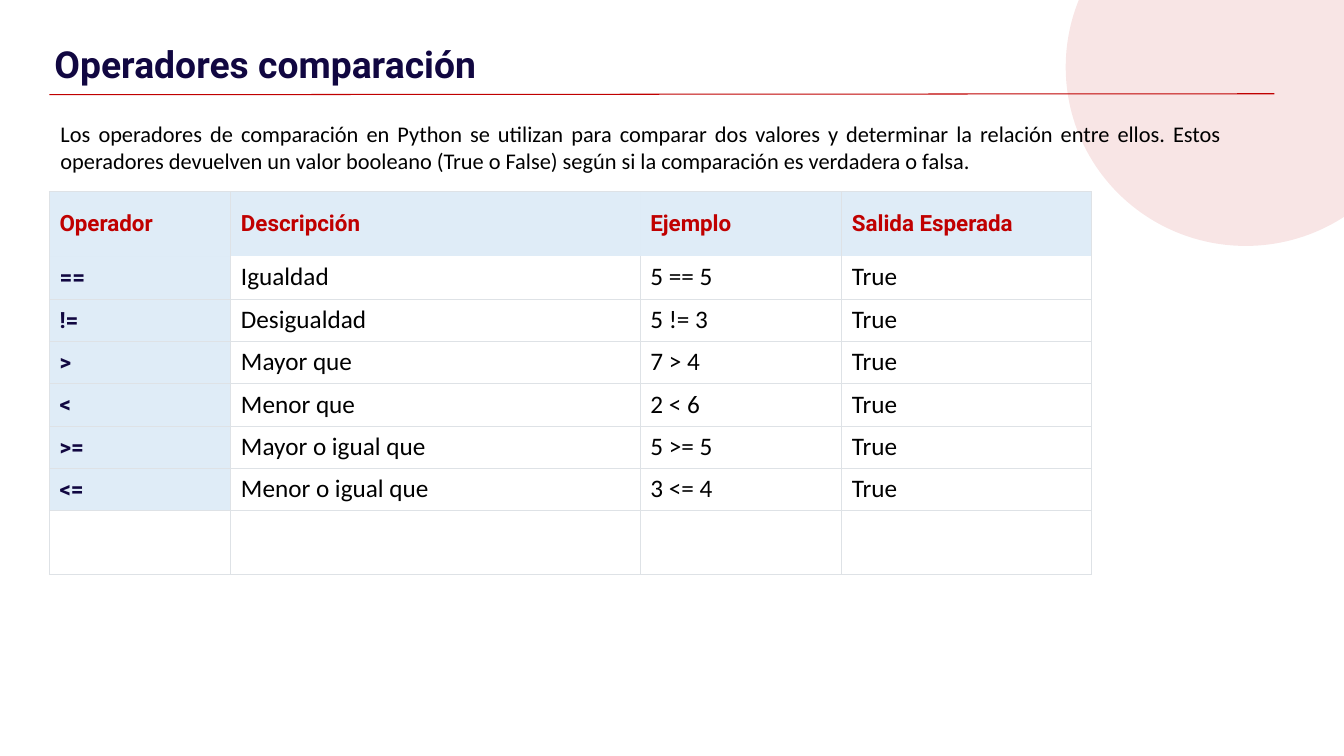
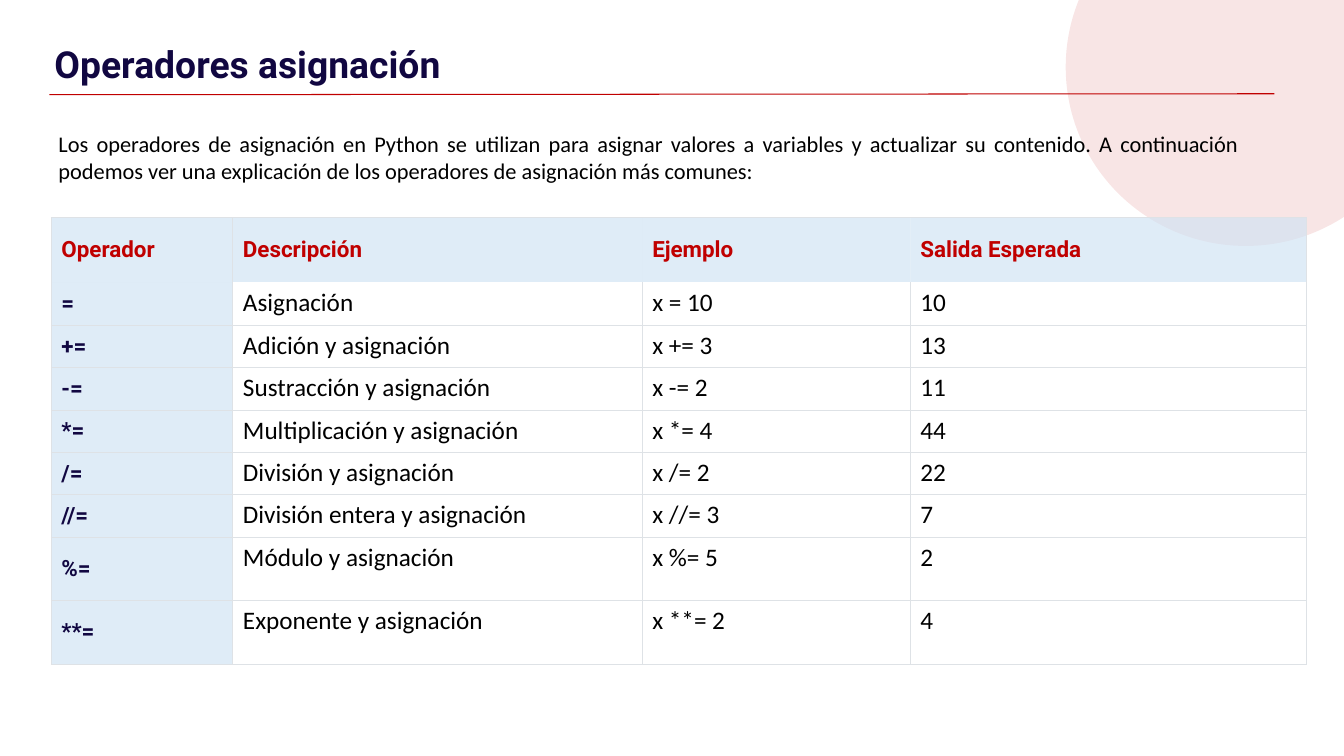
from dataclasses import dataclass

from lxml import etree
from pptx import Presentation
from pptx.dml.color import RGBColor
from pptx.enum.shapes import MSO_CONNECTOR, MSO_SHAPE
from pptx.enum.text import MSO_ANCHOR, MSO_AUTO_SIZE, PP_ALIGN
from pptx.oxml.ns import qn
from pptx.util import Inches, Pt

OVAL = MSO_SHAPE.OVAL
STRAIGHT = MSO_CONNECTOR.STRAIGHT
TOP, MIDDLE = MSO_ANCHOR.TOP, MSO_ANCHOR.MIDDLE
LEFT, JUSTIFY = PP_ALIGN.LEFT, PP_ALIGN.JUSTIFY
NO_AUTOFIT = MSO_AUTO_SIZE.NONE


@dataclass(frozen=True)
class Theme:
    red: str = "C00000"
    navy: str = "110741"
    black: str = "000000"
    white: str = "FFFFFF"
    label_fill: str = "CFE2F3"
    border: str = "DEE2E6"
    heading_font: str = "Roboto"
    body_font: str = "Calibri"
    title_size: float = 26.6
    text_size: float = 16
    cell_size: float = 18
    line_width: float = 0.75
    circle_opacity: int = 10
    label_opacity: int = 65


THEME = Theme()
HEADERS = ("Operador", "Descripción", "Ejemplo", "Salida Esperada")
ROW_HEIGHT, FIRST_ROW_HEIGHT, TALL_ROW_HEIGHT, HEADER_HEIGHT = 0.42, 0.43, 0.63, 0.64

SLIDES = [
    {
        "title": "Operadores comparación",
        "intro": "Los operadores de comparación en Python se utilizan para comparar "
                 "dos valores y determinar la relación entre ellos. Estos operadores "
                 "devuelven un valor booleano (True o False) según si la comparación "
                 "es verdadera o falsa.",
        "intro_box": (0.5, 1.14, 11.72, 0.64),
        "table_at": (0.49, 1.9),
        "columns": (1.8, 4.06, 2, 2.48),
        "header_dividers": {0, 1, 3, 4},
        "tall_rows": 1,
        "rows": [
            ("==", "Igualdad", "5 == 5", "True"),
            ("!=", "Desigualdad", "5 != 3", "True"),
            (">", "Mayor que", "7 > 4", "True"),
            ("<", "Menor que", "2 < 6", "True"),
            (">=", "Mayor o igual que", "5 >= 5", "True"),
            ("<=", "Menor o igual que", "3 <= 4", "True"),
            ("", "", "", ""),
        ],
    },
    {
        "title": "Operadores asignación",
        "intro": "Los operadores de asignación en Python se utilizan para asignar "
                 "valores a variables y actualizar su contenido. A continuación "
                 "podemos ver una explicación de los operadores de asignación más "
                 "comunes:",
        "intro_box": (0.48, 1.24, 11.91, 0.71),
        "table_at": (0.51, 2.16),
        "columns": (1.8, 4.06, 2.66, 3.93),
        "header_dividers": {0, 1, 4},
        "tall_rows": 2,
        "rows": [
            ("=", "Asignación", "x = 10", "10"),
            ("+=", "Adición y asignación", "x += 3", "13"),
            ("-=", "Sustracción y asignación", "x -= 2", "11"),
            ("*=", "Multiplicación y asignación", "x *= 4", "44"),
            ("/=", "División y asignación", "x /= 2", "22"),
            ("//=", "División entera y asignación", "x //= 3", "7"),
            ("%=", "Módulo y asignación", "x %= 5", "2"),
            ("**=", "Exponente y asignación", "x **= 2", "4"),
        ],
    },
]


def set_text(shape, text, box, font_name, size, color, bold, alignment):
    """Place a placeholder and fill it with one unbulleted paragraph."""
    shape.left, shape.top, shape.width, shape.height = map(Inches, box)
    frame = shape.text_frame
    frame.text = text
    frame.word_wrap = True
    frame.auto_size = NO_AUTOFIT
    paragraph = frame.paragraphs[0]
    properties = paragraph._p.get_or_add_pPr()
    properties.set("marL", "0")
    properties.set("indent", "0")
    etree.SubElement(properties, qn("a:buNone"))
    paragraph.space_before = Pt(0)
    paragraph.alignment = alignment
    paragraph.font.name = font_name
    paragraph.font.size = Pt(size)
    paragraph.font.bold = bold
    paragraph.font.color.rgb = RGBColor.from_string(color)


def fill_with(fill, properties, color, opacity=100):
    """Set a solid fill; properties is the XML element that holds it."""
    fill.solid()
    fill.fore_color.rgb = RGBColor.from_string(color)
    if opacity < 100:
        color_element = properties.find(qn("a:solidFill")).find(qn("a:srgbClr"))
        etree.SubElement(color_element, qn("a:alpha"), val=str(opacity * 1000))


presentation = Presentation()
presentation.slide_width = Inches(13.33)
presentation.slide_height = Inches(7.5)
layout = presentation.slide_layouts[1]

for content in SLIDES:
    slide = presentation.slides.add_slide(layout)
    title, intro = slide.shapes.title, slide.placeholders[1]

    circle = slide.shapes.add_shape(
        OVAL, Inches(10.57), Inches(-1.11), Inches(3.57), Inches(3.55))
    circle.shadow.inherit = False
    circle.line.fill.background()
    fill_with(circle.fill, circle.element.spPr, THEME.red, THEME.circle_opacity)
    title.element.addprevious(circle.element)

    rule = slide.shapes.add_connector(
        STRAIGHT, Inches(0.49), Inches(0.94), Inches(12.64), Inches(0.93))
    rule.line.color.rgb = RGBColor.from_string(THEME.red)
    rule.line.width = Pt(THEME.line_width)
    etree.SubElement(rule.element.spPr, qn("a:effectLst"))

    set_text(title, content["title"], (0.41, 0.38, 11.47, 0.5), THEME.heading_font,
             THEME.title_size, THEME.navy, True, LEFT)
    title.text_frame.margin_left = title.text_frame.margin_right = Inches(0.13)
    title.text_frame.margin_top = title.text_frame.margin_bottom = 0
    title.text_frame.vertical_anchor = MIDDLE

    set_text(intro, content["intro"], content["intro_box"], THEME.body_font,
             THEME.text_size, THEME.black, False, JUSTIFY)
    intro.text_frame.vertical_anchor = TOP

    rows = [HEADERS] + content["rows"]
    tall_rows = content["tall_rows"]
    heights = ([HEADER_HEIGHT, FIRST_ROW_HEIGHT]
               + [ROW_HEIGHT] * (len(rows) - 2 - tall_rows)
               + [TALL_ROW_HEIGHT] * tall_rows)
    left, top = content["table_at"]
    table = slide.shapes.add_table(
        len(rows), len(HEADERS), Inches(left), Inches(top),
        Inches(sum(content["columns"])), Inches(sum(heights))).table
    table.first_row = table.horz_banding = False
    for column, width in zip(table.columns, content["columns"]):
        column.width = Inches(width)
    for row, height in zip(table.rows, heights):
        row.height = Inches(height)

    for row_index, values in enumerate(rows):
        is_header = row_index == 0
        for column_index, value in enumerate(values):
            cell = table.cell(row_index, column_index)
            is_label = is_header or (column_index == 0 and value != "")
            dividers = content["header_dividers"]
            borders = {
                "a:lnL": not is_header or column_index in dividers,
                "a:lnR": not is_header or column_index + 1 in dividers,
                "a:lnT": row_index != 1,
                "a:lnB": not is_header,
            }
            properties = cell._tc.get_or_add_tcPr()
            for tag, visible in borders.items():
                line = etree.SubElement(properties, qn(tag), w=str(Pt(THEME.line_width)))
                if visible:
                    line_fill = etree.SubElement(line, qn("a:solidFill"))
                    etree.SubElement(line_fill, qn("a:srgbClr"), val=THEME.border)
                else:
                    etree.SubElement(line, qn("a:noFill"))

            if is_label:
                fill_with(cell.fill, properties, THEME.label_fill, THEME.label_opacity)
            else:
                fill_with(cell.fill, properties, THEME.white)
            cell.vertical_anchor = MIDDLE if is_label else TOP
            cell.text = value
            font = cell.text_frame.paragraphs[0].font
            font.name = THEME.heading_font if is_label else THEME.body_font
            font.size = Pt(THEME.text_size if is_label else THEME.cell_size)
            font.bold = is_label
            label_color = THEME.red if is_header else THEME.navy
            font.color.rgb = RGBColor.from_string(label_color if is_label else THEME.black)

presentation.save("out.pptx")
